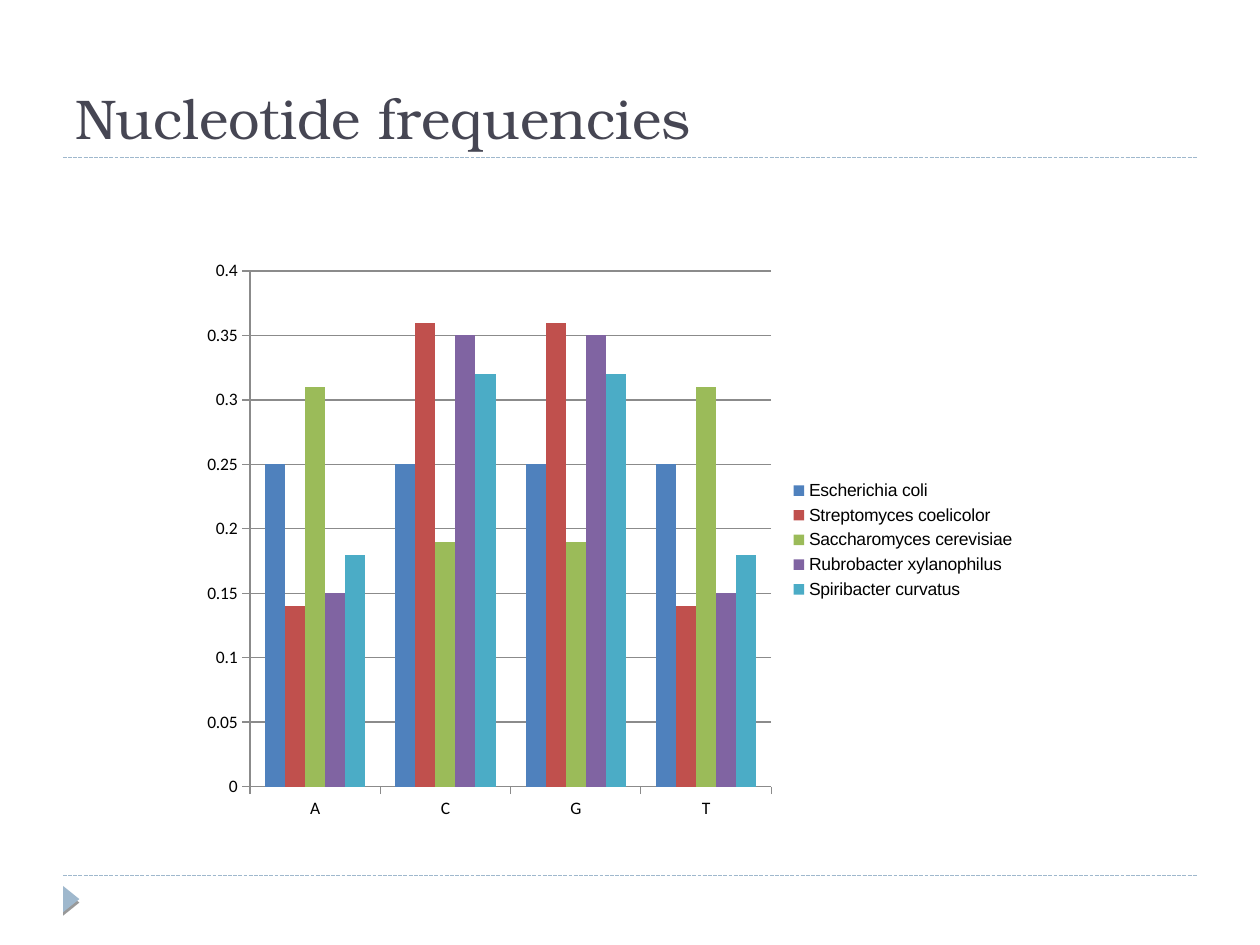
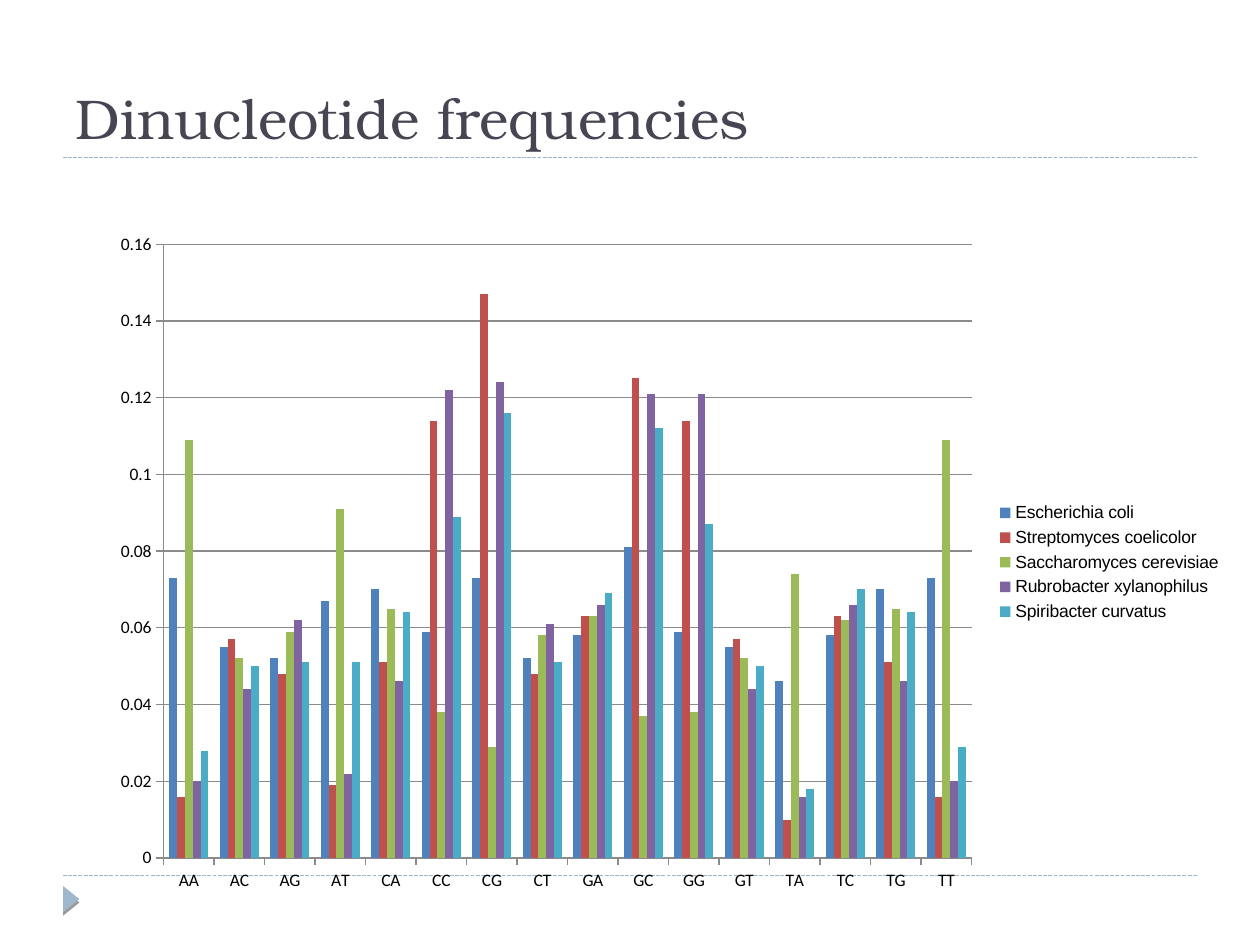
from lxml import etree
from pptx import Presentation
from pptx.chart.data import CategoryChartData
from pptx.dml.color import RGBColor
from pptx.enum.chart import XL_CHART_TYPE, XL_LEGEND_POSITION, XL_TICK_MARK
from pptx.enum.dml import MSO_LINE
from pptx.enum.shapes import MSO_CONNECTOR, MSO_SHAPE
from pptx.enum.text import MSO_ANCHOR, MSO_AUTO_SIZE, PP_ALIGN
from pptx.oxml import parse_xml
from pptx.oxml.ns import qn
from pptx.util import Cm, Pt

CLUSTERED = XL_CHART_TYPE.COLUMN_CLUSTERED
LEGEND_RIGHT = XL_LEGEND_POSITION.RIGHT
TICK_OUT, TICK_NONE = XL_TICK_MARK.OUTSIDE, XL_TICK_MARK.NONE
STRAIGHT = MSO_CONNECTOR.STRAIGHT
TRIANGLE = MSO_SHAPE.ISOSCELES_TRIANGLE
DASH = MSO_LINE.SQUARE_DOT
LEFT, BOTTOM = PP_ALIGN.LEFT, MSO_ANCHOR.BOTTOM
NO_AUTOFIT = MSO_AUTO_SIZE.NONE

WHITE = RGBColor(0xFF, 0xFF, 0xFF)
BLACK = RGBColor(0x00, 0x00, 0x00)
TITLE_COLOR = RGBColor(0x46, 0x46, 0x53)
ACCENT = RGBColor(0x9F, 0xB8, 0xCD)
GRID_COLOR = RGBColor(0x8B, 0x8B, 0x8B)
TITLE_FONT, LEGEND_FONT, AXIS_FONT = "TeX Gyre Bonum", "Arial", "Calibri"

SPECIES = {
    "Escherichia coli": RGBColor(0x4F, 0x81, 0xBD),
    "Streptomyces coelicolor": RGBColor(0xC0, 0x50, 0x4D),
    "Saccharomyces cerevisiae": RGBColor(0x9B, 0xBB, 0x59),
    "Rubrobacter xylanophilus": RGBColor(0x80, 0x64, 0xA2),
    "Spiribacter curvatus": RGBColor(0x4B, 0xAC, 0xC6),
}
BASES = "ACGT"

# One row of values per species, in the order of SPECIES
PAGES = [
    {
        "title": "Nucleotide frequencies",
        "place": (3.84, 5.03, 16.89, 11.71),
        "categories": list(BASES),
        "axis": (0.4, 0.05),
        "rows": [
            (0.25, 0.25, 0.25, 0.25),
            (0.14, 0.36, 0.36, 0.14),
            (0.31, 0.19, 0.19, 0.31),
            (0.15, 0.35, 0.35, 0.15),
            (0.18, 0.32, 0.32, 0.18),
        ],
    },
    {
        "title": "Dinucleotide frequencies",
        "place": (1.98, 4.45, 22.91, 13.77),
        "categories": [first + second for first in BASES for second in BASES],
        "axis": (0.16, 0.02),
        "rows": [
            (0.073, 0.055, 0.052, 0.067, 0.07, 0.059, 0.073, 0.052,
             0.058, 0.081, 0.059, 0.055, 0.046, 0.058, 0.07, 0.073),
            (0.016, 0.057, 0.048, 0.019, 0.051, 0.114, 0.147, 0.048,
             0.063, 0.125, 0.114, 0.057, 0.01, 0.063, 0.051, 0.016),
            (0.109, 0.052, 0.059, 0.091, 0.065, 0.038, 0.029, 0.058,
             0.063, 0.037, 0.038, 0.052, 0.074, 0.062, 0.065, 0.109),
            (0.02, 0.044, 0.062, 0.022, 0.046, 0.122, 0.124, 0.061,
             0.066, 0.121, 0.121, 0.044, 0.016, 0.066, 0.046, 0.02),
            (0.028, 0.05, 0.051, 0.051, 0.064, 0.089, 0.116, 0.051,
             0.069, 0.112, 0.087, 0.05, 0.018, 0.07, 0.064, 0.029),
        ],
    },
]

SHADOW = (
    '<a:effectLst xmlns:a="http://schemas.openxmlformats.org/drawingml/2006/main">'
    '<a:outerShdw blurRad="0" dist="25400" dir="5400000" rotWithShape="0">'
    '<a:srgbClr val="000000"><a:alpha val="40000"/></a:srgbClr>'
    '</a:outerShdw></a:effectLst>'
)


def style_font(font, name, size=10, color=BLACK):
    font.name = name
    font.size = Pt(size)
    font.color.rgb = color


def write_text(box, text, align=LEFT, anchor=BOTTOM, **font_format):
    frame = box.text_frame
    frame.word_wrap = True
    frame.auto_size = NO_AUTOFIT
    frame.vertical_anchor = anchor
    para = frame.paragraphs[0]
    para.alignment = align
    span = para.add_run()
    span.text = text
    style_font(span.font, **font_format)


deck = Presentation()
deck.slide_width, deck.slide_height = Cm(25.4), Cm(19.05)
title_only = deck.slide_layouts[5]

for content in PAGES:
    page = deck.slides.add_slide(title_only)
    page.background.fill.solid()
    page.background.fill.fore_color.rgb = WHITE

    # Dashed rules under the title and above the footer
    for height in (17.65, 3.18):
        rule = page.shapes.add_connector(
            STRAIGHT, Cm(1.27), Cm(height), Cm(24.13), Cm(height))
        rule.line.color.rgb = ACCENT
        rule.line.width = Pt(0.75)
        rule.line.dash_style = DASH
        etree.SubElement(rule._element.spPr, qn("a:effectLst"))

    # Footer marker
    marker = page.shapes.add_shape(
        TRIANGLE, Cm(1.17), Cm(17.96), Cm(0.53), Cm(0.33))
    marker.rotation = 90
    marker.fill.solid()
    marker.fill.fore_color.rgb = ACCENT
    marker.line.fill.background()
    marker._element.spPr.append(parse_xml(SHADOW))

    # Title
    title = page.shapes.title
    title.left, title.top = Cm(1.27), Cm(0.43)
    title.width, title.height = Cm(22.86), Cm(2.74)
    write_text(title, content["title"], name=TITLE_FONT, size=32, color=TITLE_COLOR)

    # Chart
    data = CategoryChartData()
    data.categories = content["categories"]
    for species, row in zip(SPECIES, content["rows"]):
        data.add_series(species, row)
    place = [Cm(length) for length in content["place"]]
    chart = page.shapes.add_chart(CLUSTERED, *place, data).chart
    chart.has_title = False
    style_font(chart.font, LEGEND_FONT)

    plot = chart.plots[0]
    plot.gap_width = 150
    plot.overlap = 0
    plot.vary_by_categories = False
    for series, color in zip(plot.series, SPECIES.values()):
        series.format.fill.solid()
        series.format.fill.fore_color.rgb = color

    # Axes and gridlines
    values = chart.value_axis
    values.minimum_scale = 0
    values.maximum_scale, values.major_unit = content["axis"]
    values.has_major_gridlines = True
    for axis in (chart.category_axis, values):
        axis.major_tick_mark = TICK_OUT
        axis.minor_tick_mark = TICK_NONE
        style_font(axis.tick_labels.font, AXIS_FONT)
    for part in (chart.category_axis, values, values.major_gridlines):
        part.format.line.color.rgb = GRID_COLOR
        part.format.line.width = Pt(0.75)

    # Legend
    chart.has_legend = True
    chart.legend.position = LEGEND_RIGHT
    chart.legend.include_in_layout = False
    style_font(chart.legend.font, LEGEND_FONT)

deck.save("out.pptx")
